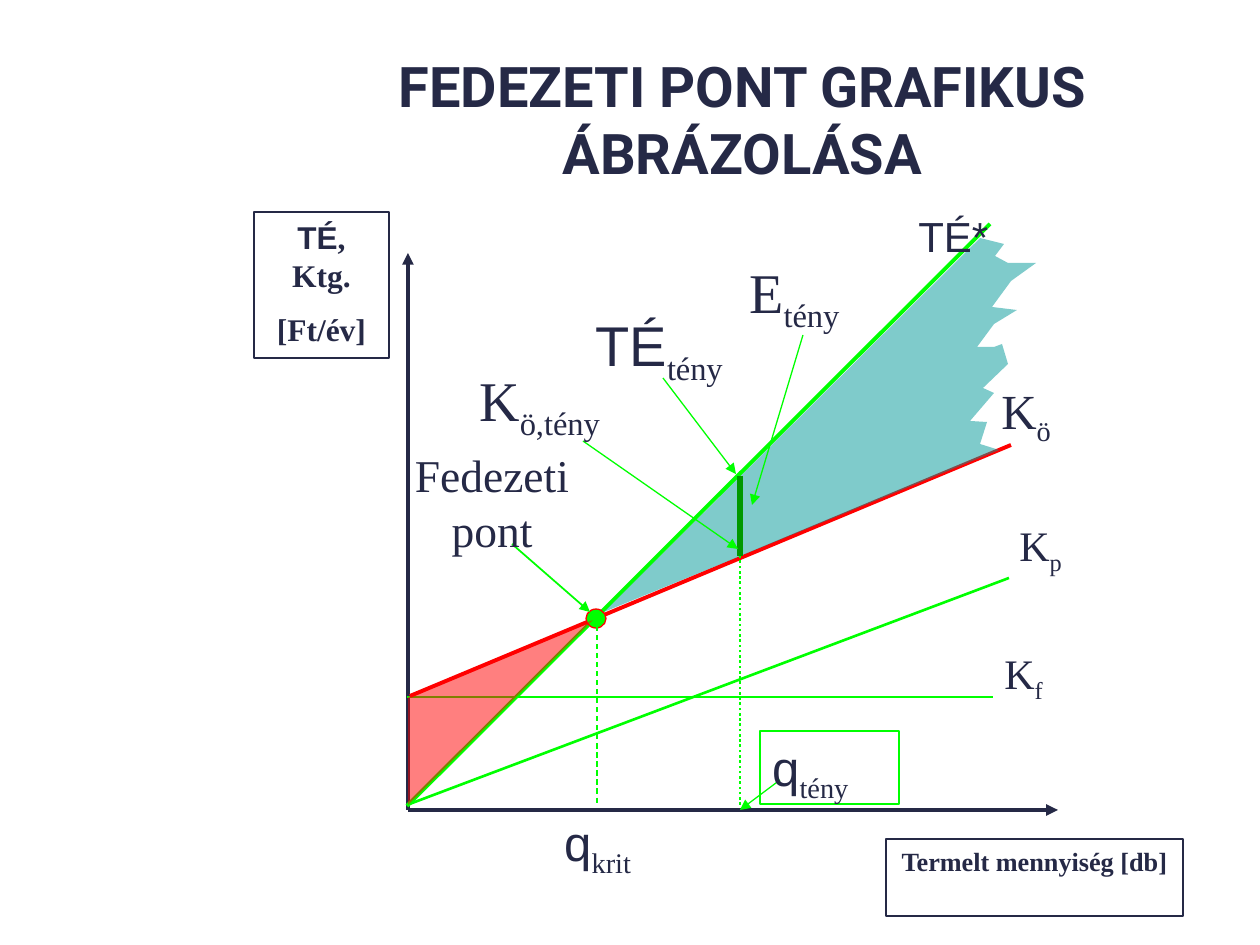
import dataclasses

import pptx
import pptx.dml.color
import pptx.enum.dml
import pptx.enum.shapes
import pptx.enum.text
import pptx.oxml
import pptx.oxml.ns
import pptx.util

RGB = pptx.dml.color.RGBColor.from_string
ALIGN = pptx.enum.text.PP_ALIGN
DASH = pptx.enum.dml.MSO_LINE
SHAPE = pptx.enum.shapes.MSO_SHAPE
EMU_PER_PX = 914400 / 126


@dataclasses.dataclass(frozen=True)
class Theme:
    ink: str = "252946"
    green: str = "00FF00"
    dark_green: str = "009900"
    red: str = "FF0000"
    teal: str = "009999"
    heading: str = "Roboto"
    sans: str = "Arial"
    serif: str = "Times New Roman"
    large: int = 32
    medium: int = 28
    note: int = 26
    small: int = 24
    axis: int = 18
    quantity: int = 15


theme = Theme()
SANS, SERIF = theme.sans, theme.serif

deck = pptx.Presentation()
deck.slide_width, deck.slide_height = pptx.util.Inches(10), pptx.util.Inches(7.5)
slide = deck.slides.add_slide(deck.slide_layouts[5])
shapes = slide.shapes


def draw_line(ends, color, width, dash=None, arrow=False):
    """Draw a straight line through ends (x1, y1, x2, y2), in px."""
    line = shapes.add_connector(
        pptx.enum.shapes.MSO_CONNECTOR.STRAIGHT, *(round(v * EMU_PER_PX) for v in ends))
    line.line.color.rgb = RGB(color)
    line.line.width = pptx.util.Pt(width)
    if dash is not None:
        line.line.dash_style = dash
    if arrow:
        tail = pptx.oxml.parse_xml(f'<a:tailEnd {pptx.oxml.ns.nsdecls("a")} type="triangle"/>')
        line.line._get_or_add_ln().append(tail)
    no_effects = pptx.oxml.parse_xml(f'<a:effectLst {pptx.oxml.ns.nsdecls("a")}/>')
    line._element.spPr.append(no_effects)


def add_label(area, size, paragraphs, outline=None, align=ALIGN.LEFT, bold=False):
    """Write paragraphs of (text, font, is_subscript) runs, framed if outline is given."""
    bounds = [round(v * EMU_PER_PX) for v in area]
    if outline:
        label = shapes.add_shape(SHAPE.RECTANGLE, *bounds)
        label.shadow.inherit = False
        label.fill.background()
        label.line.color.rgb = RGB(outline)
        label.line.width = pptx.util.Pt(0.75)
    else:
        label = shapes.add_textbox(*bounds)
    frame = label.text_frame
    frame.word_wrap = True
    frame.vertical_anchor = pptx.enum.text.MSO_ANCHOR.TOP
    for index, runs in enumerate(paragraphs):
        paragraph = frame.add_paragraph() if index else frame.paragraphs[0]
        paragraph.alignment = align
        if index:
            paragraph.space_before = pptx.util.Pt(size / 2)
        paragraph.font.size = pptx.util.Pt(size)
        paragraph.font.bold = bold
        paragraph.font.color.rgb = RGB(theme.ink)
        one_font = len({font for _, font, _ in runs}) == 1
        for text, font, is_subscript in runs:
            run = paragraph.add_run()
            run.text = text
            (paragraph if one_font else run).font.name = font
            if is_subscript:
                run._r.get_or_add_rPr().set("baseline", "-25000")


title = shapes.title
title.left, title.top, title.width, title.height = (
    round(v * EMU_PER_PX) for v in (227, 45, 1031, 130))
title.text_frame.text = "FEDEZETI PONT GRAFIKUS ÁBRÁZOLÁSA"
title.text_frame.word_wrap = True
title.text_frame.vertical_anchor = pptx.enum.text.MSO_ANCHOR.TOP
heading = title.text_frame.paragraphs[0]
heading.alignment = ALIGN.CENTER
heading.font.name = theme.heading
heading.font.size = pptx.util.Pt(theme.large)
heading.font.bold = True
heading.font.color.rgb = RGB(theme.ink)

# Axes, then revenue, fixed, variable and total cost
for axis in ((408, 810, 1058, 810), (408, 810, 408, 253)):
    draw_line(axis, theme.ink, 2.25, arrow=True)
for ends, color, width in (
    ((407, 806, 990, 224), theme.green, 2.25),
    ((407, 697, 993, 697), theme.green, 1.5),
    ((407, 805, 1009, 578), theme.green, 1.5),
    ((410, 696, 1011, 445), theme.red, 2.25),
):
    draw_line(ends, color, width)

break_even = shapes.add_shape(
    SHAPE.OVAL, *(round(v * EMU_PER_PX) for v in (586, 609, 20, 19)))
break_even.shadow.inherit = False
break_even.fill.solid()
break_even.fill.fore_color.rgb = RGB(theme.green)
break_even.line.color.rgb = RGB(theme.red)
break_even.line.width = pptx.util.Pt(0.75)
draw_line((597, 626, 597, 805), theme.green, 0.75, DASH.DASH)

loss = [(408, 805), (593, 620), (408, 697)]
profit = [
    (604, 612), (999, 450), (980, 444), (987, 422), (970, 421), (994, 393), (983, 388),
    (1008, 364), (1002, 344), (994, 347), (977, 347), (994, 324), (1017, 310), (992, 307),
    (1011, 281), (1036, 263), (1008, 263), (995, 256), (1004, 244), (980, 238),
]
for corners, color in ((loss, theme.red), (profit, theme.teal)):
    builder = shapes.build_freeform(*corners[0], scale=EMU_PER_PX)
    builder.add_line_segments(corners[1:], close=True)
    area = builder.convert_to_shape()
    area.shadow.inherit = False
    area.line.fill.background()
    area.fill.solid()
    area.fill.fore_color.rgb = RGB(color)
    tint = area._element.spPr.find(".//" + pptx.oxml.ns.qn("a:srgbClr"))
    tint.append(pptx.oxml.parse_xml(f'<a:alpha {pptx.oxml.ns.nsdecls("a")} val="50000"/>'))

# Actual quantity and the profit made there
draw_line((740, 805, 740, 470), theme.green, 1.5, DASH.ROUND_DOT)
draw_line((740, 476, 740, 556), theme.dark_green, 3)

for pointer, width in (
    ((583, 441, 738, 549), 0.75),
    ((663, 378, 736, 474), 0.75),
    ((803, 335, 752, 505), 0.75),
    ((512, 544, 590, 612), 1),
    ((780, 780, 740, 810), 0.75),
):
    draw_line(pointer, theme.green, width, arrow=True)

for area, size, symbol, font, subscript, outline in (
    ((989, 374, 87, 72), theme.medium, "K", SERIF, "ö", None),
    ((992, 641, 87, 63), theme.small, "K", SERIF, "f", None),
    ((1007, 513, 87, 63), theme.small, "K", SERIF, "p", None),
    ((552, 806, 129, 72), theme.medium, "q", SANS, "krit", None),
    ((583, 304, 176, 81), theme.large, "TÉ", SANS, "tény", None),
    ((467, 359, 168, 79), theme.large, "K", SERIF, "ö,tény", None),
    ((737, 251, 165, 79), theme.large, "E", SERIF, "tény", None),
    ((760, 731, 139, 73), theme.medium, "q", SANS, "tény", theme.green),
):
    add_label(area, size, [[(symbol, font, False), (subscript, SERIF, True)]], outline)

add_label((906, 204, 102, 63), theme.small, [[("TÉ*", SANS, False)]])
add_label((383, 441, 218, 122), theme.note, [[("Fedezeti pont", SERIF, False)]],
          align=ALIGN.CENTER)
add_label((254, 212, 135, 146), theme.axis,
          [[("TÉ", SANS, False), (", Ktg.", SERIF, False)], [("[Ft/év]", SERIF, False)]],
          theme.ink, ALIGN.CENTER, bold=True)
add_label((886, 839, 297, 77), theme.quantity, [[("Termelt mennyiség [db]", SERIF, False)]],
          theme.ink, ALIGN.CENTER, bold=True)

deck.save("out.pptx")
